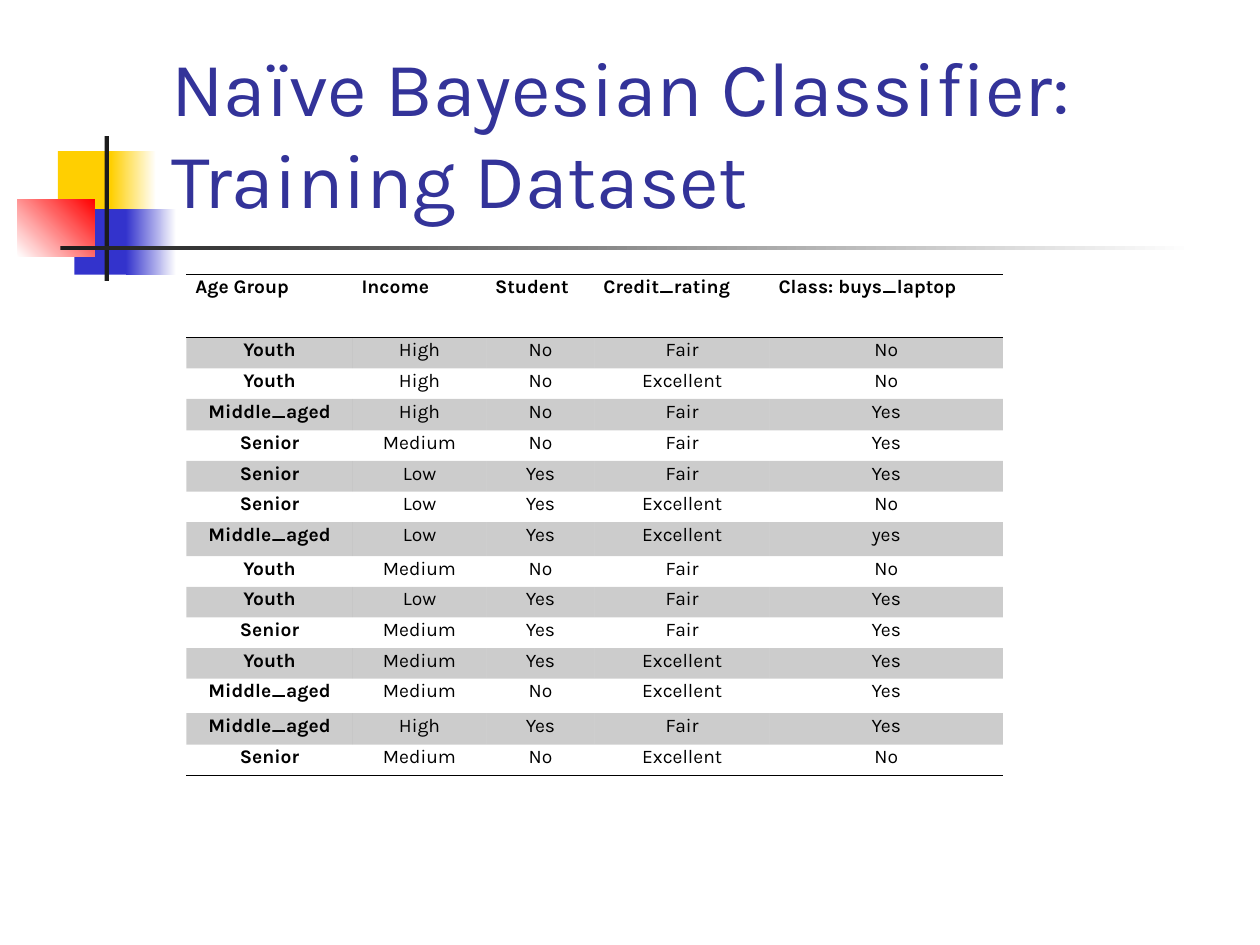
from pptx import Presentation
from pptx.dml.color import RGBColor
from pptx.enum.shapes import MSO_SHAPE
from pptx.enum.text import MSO_ANCHOR, PP_ALIGN
from pptx.oxml.ns import qn
from pptx.util import Inches, Pt
from lxml import etree

RECTANGLE = MSO_SHAPE.RECTANGLE
BOTTOM = MSO_ANCHOR.BOTTOM
LEFT, CENTER = PP_ALIGN.LEFT, PP_ALIGN.CENTER

WIDTH, HEIGHT = Inches(10), Inches(7.5)
COLUMNS, ROWS = 100, 75  # layout grid of the slide
PLAIN_TABLE = "{2D5ABB26-0587-4C30-8999-92F81FD0307C}"

YELLOW, BLUE, RED = "FFCF01", "3333CC", "FF0000"
CHARCOAL, WHITE, BLACK, INDIGO = "1C1C1C", "FFFFFF", "000000", "333399"

# Decoration: left, top, width, height in grid units, colours, angle
ORNAMENT = [
    (4.6, 12, 4.8, 5.2, [YELLOW], 0),
    (8.8, 12, 3.6, 5.2, [YELLOW, WHITE], 0),
    (5.9, 16.6, 4.6, 5.2, [BLUE], 0),
    (10, 16.6, 4, 5.2, [BLUE, WHITE], 0),
    (1.4, 15.8, 6.1, 4.6, [WHITE, RED], 45),
    (8.3, 10.8, 0.35, 11.5, [CHARCOAL], 0),
    (4.8, 19.5, 90, 0.35, [CHARCOAL, WHITE], 0),
]

HEADINGS = ["Age Group", "Income", "Student", "Credit_rating", "Class: buys_laptop"]
TRAINING_ROWS = [
    ("Youth", "High", "No", "Fair", "No"),
    ("Youth", "High", "No", "Excellent", "No"),
    ("Middle_aged", "High", "No", "Fair", "Yes"),
    ("Senior", "Medium", "No", "Fair", "Yes"),
    ("Senior", "Low", "Yes", "Fair", "Yes"),
    ("Senior", "Low", "Yes", "Excellent", "No"),
    ("Middle_aged", "Low", "Yes", "Excellent", "yes"),
    ("Youth", "Medium", "No", "Fair", "No"),
    ("Youth", "Low", "Yes", "Fair", "Yes"),
    ("Senior", "Medium", "Yes", "Fair", "Yes"),
    ("Youth", "Medium", "Yes", "Excellent", "Yes"),
    ("Middle_aged", "Medium", "No", "Excellent", "Yes"),
    ("Middle_aged", "High", "Yes", "Fair", "Yes"),
    ("Senior", "Medium", "No", "Excellent", "No"),
]
COLUMN_WIDTHS = [13.2, 10.6, 8.6, 13.9, 18.5]
ROW_HEIGHT = 2.43
SPECIAL_HEIGHTS = {0: 5, 3: 2.5, 7: 2.7, 12: 2.75, 13: 2.5}


def rgb(color):
    return RGBColor.from_string(color)


def across(columns):
    return round(WIDTH * columns / COLUMNS)


def down(rows):
    return round(HEIGHT * rows / ROWS)


def apply(target, values):
    for name, value in values.items():
        setattr(target, name, value)


class SlideBuilder:
    font_name = "Karla"

    def __init__(self, slide):
        self.slide = slide

    def place(self, left, top, width, height):
        return across(left), down(top), across(width), down(height)

    def add_words(self, paragraph, words, size, color, bold=False):
        run = paragraph.add_run()
        run.text = words
        apply(run.font, {"name": self.font_name, "size": Pt(size), "bold": bold})
        run.font.color.rgb = rgb(color)

    def block(self, left, top, width, height, colors, angle):
        block = self.slide.shapes.add_shape(RECTANGLE, *self.place(left, top, width, height))
        block.shadow.inherit = False
        block.line.fill.background()
        if len(colors) == 1:
            block.fill.solid()
            block.fill.fore_color.rgb = rgb(colors[0])
            return
        block.fill.gradient()
        block.fill.gradient_angle = angle
        for position, (stop, color) in enumerate(zip(block.fill.gradient_stops, colors)):
            stop.color.rgb = rgb(color)
            stop.position = position

    def title(self, words, left, top, width, height):
        frame = self.slide.shapes.add_textbox(*self.place(left, top, width, height)).text_frame
        apply(frame, {"word_wrap": True, "vertical_anchor": BOTTOM})
        self.add_words(frame.paragraphs[0], words, 44, INDIGO)

    def rule(self, cell, side):
        line = etree.SubElement(cell._tc.get_or_add_tcPr(), qn(f"a:{side}"), w=str(Pt(1)))
        fill = etree.SubElement(line, qn("a:solidFill"))
        etree.SubElement(fill, qn("a:srgbClr"), val=BLACK)

    def shade(self, cell, percent):
        cell.fill.solid()
        cell.fill.fore_color.rgb = rgb(BLACK)
        color = cell._tc.tcPr.find(qn("a:solidFill"))[0]
        etree.SubElement(color, qn("a:alpha"), val=str(percent * 1000))

    def cell(self, cell, words, bold, align, sides, shaded):
        apply(cell, {"margin_left": Inches(0.07), "margin_right": Inches(0.07),
                     "margin_top": 0, "margin_bottom": 0})
        paragraph = cell.text_frame.paragraphs[0]
        apply(paragraph, {"alignment": align, "line_spacing": 1.07})
        self.add_words(paragraph, words, 11, BLACK, bold)
        for side in sides:  # borders come before the fill in the cell
            self.rule(cell, side)
        if shaded:
            self.shade(cell, 20)
        else:
            cell.fill.background()

    def table(self, records, left, top, widths, heights):
        area = self.place(left, top, sum(widths), sum(heights))
        frame = self.slide.shapes.add_table(len(records), len(widths), *area)
        table = frame.table
        apply(table, {"first_row": False, "horz_banding": False})
        table._tbl.tblPr.find(qn("a:tableStyleId")).text = PLAIN_TABLE
        for column, width in zip(table.columns, widths):
            column.width = across(width)
        for row, height in zip(table.rows, heights):
            row.height = down(height)

        last = len(records) - 1
        ruled = {0: ["lnT", "lnB"], last: ["lnB"]}
        for r, record in enumerate(records):
            for c, words in enumerate(record):
                self.cell(table.cell(r, c), words,
                          bold=r == 0 or c == 0,
                          align=CENTER if r else LEFT,
                          sides=ruled.get(r, []),
                          shaded=r % 2 == 1)


def main():
    deck = Presentation()
    apply(deck, {"slide_width": WIDTH, "slide_height": HEIGHT})
    builder = SlideBuilder(deck.slides.add_slide(deck.slide_layouts[6]))

    # Coloured squares and crossing bars
    for piece in ORNAMENT:
        builder.block(*piece)

    # Heading
    builder.title("Naïve Bayesian Classifier: Training Dataset", 12.6, 2.3, 85.2, 16)

    # Training data
    records = [HEADINGS, *TRAINING_ROWS]
    heights = [SPECIAL_HEIGHTS.get(r, ROW_HEIGHT) for r in range(len(records))]
    builder.table(records, 14.8, 21.8, COLUMN_WIDTHS, heights)

    deck.save("out.pptx")


if __name__ == "__main__":
    main()
